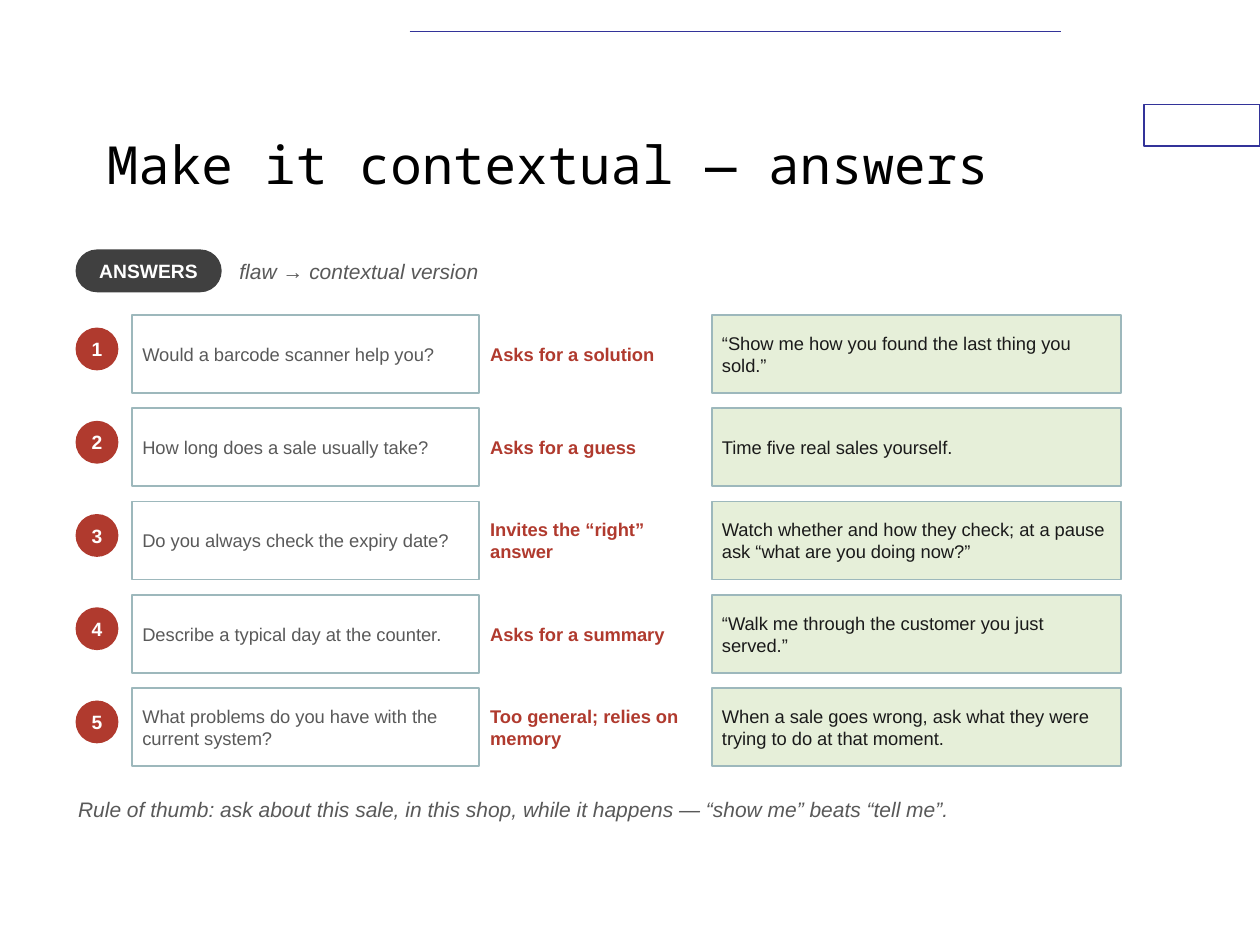
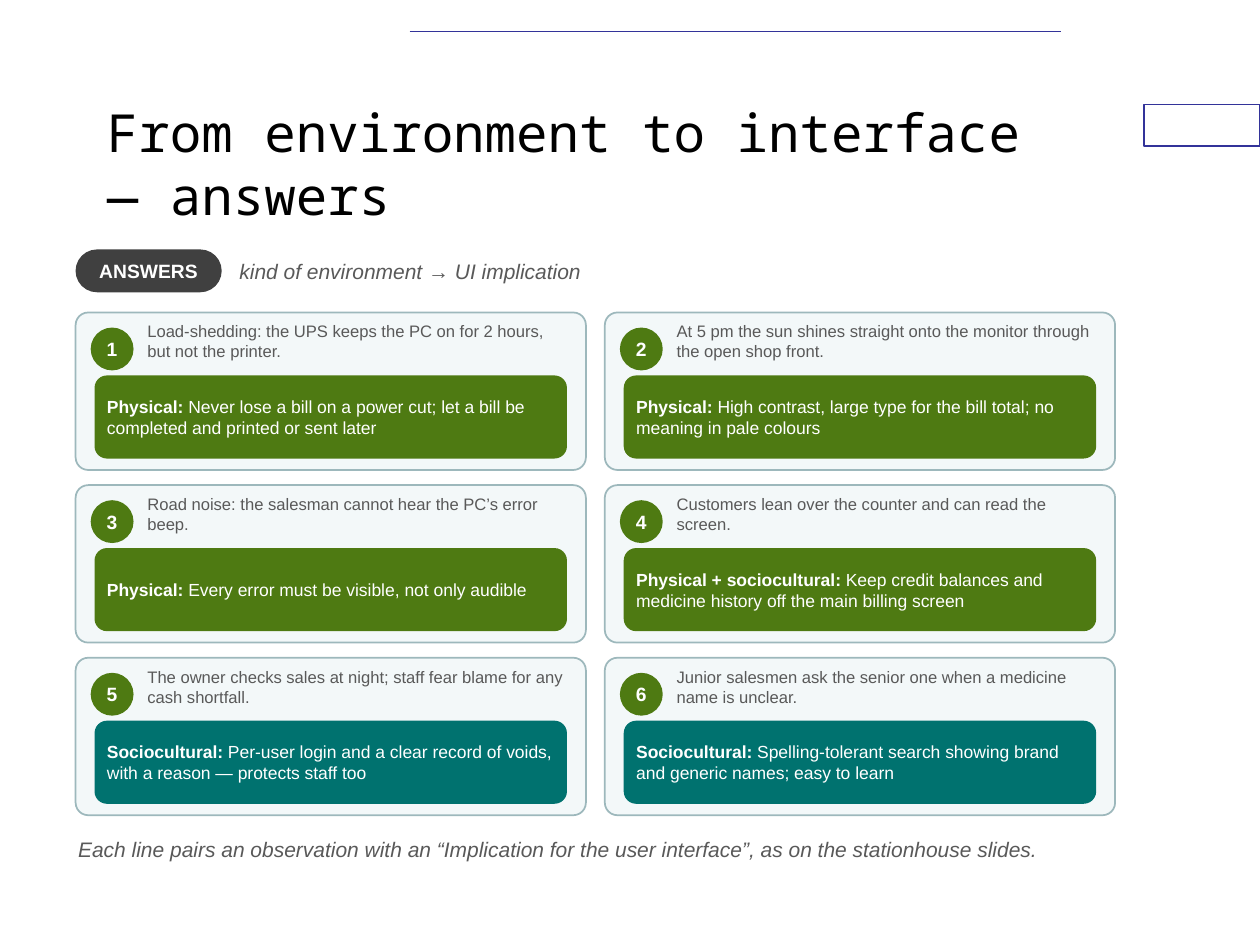
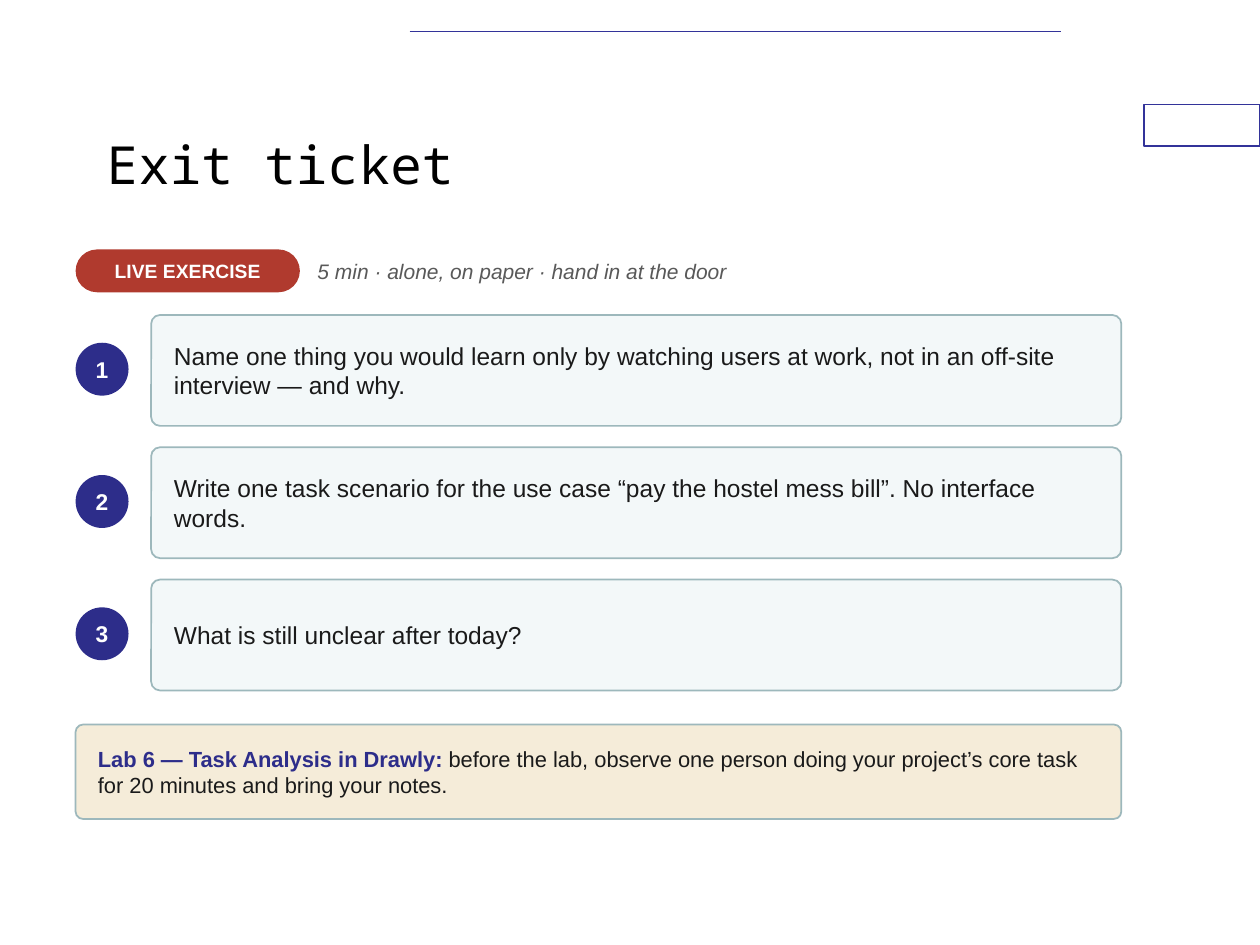
from pptx import Presentation
from pptx.dml.color import RGBColor
from pptx.enum.shapes import MSO_CONNECTOR, MSO_SHAPE
from pptx.enum.text import MSO_ANCHOR, PP_ALIGN
from pptx.oxml.ns import qn
from pptx.util import Inches, Pt

RECT, ROUND, OVAL = MSO_SHAPE.RECTANGLE, MSO_SHAPE.ROUNDED_RECTANGLE, MSO_SHAPE.OVAL
STRAIGHT = MSO_CONNECTOR.STRAIGHT
TOP, MIDDLE = MSO_ANCHOR.TOP, MSO_ANCHOR.MIDDLE
LEFT, CENTER = PP_ALIGN.LEFT, PP_ALIGN.CENTER

BLACK = RGBColor(0x00, 0x00, 0x00)
WHITE = RGBColor(0xFF, 0xFF, 0xFF)
INK = RGBColor(0x1A, 0x1A, 0x1A)
GREY = RGBColor(0x59, 0x59, 0x59)
CHARCOAL = RGBColor(0x40, 0x40, 0x40)
FRAME_BLUE = RGBColor(0x33, 0x33, 0x99)
NAVY = RGBColor(0x2D, 0x2D, 0x8A)
RED = RGBColor(0xB0, 0x3A, 0x2E)
GREEN = RGBColor(0x4E, 0x7A, 0x12)
TEAL = RGBColor(0x00, 0x72, 0x6F)
EDGE = RGBColor(0x9D, 0xB8, 0xBC)
PALE_BLUE = RGBColor(0xF3, 0xF8, 0xF9)
PALE_GREEN = RGBColor(0xE6, 0xEF, 0xD9)
SAND = RGBColor(0xF5, 0xEC, 0xD9)

BODY_FONT, TITLE_FONT = "Arial", "Noto Sans Mono"
MARGIN, CONTENT_WIDTH = 0.6, 8.3

FLAWS = [
    ("Would a barcode scanner help you?", "Asks for a solution",
     "“Show me how you found the last thing you sold.”"),
    ("How long does a sale usually take?", "Asks for a guess",
     "Time five real sales yourself."),
    ("Do you always check the expiry date?", "Invites the “right” answer",
     "Watch whether and how they check; at a pause ask “what are you doing now?”"),
    ("Describe a typical day at the counter.", "Asks for a summary",
     "“Walk me through the customer you just served.”"),
    ("What problems do you have with the current system?",
     "Too general; relies on memory",
     "When a sale goes wrong, ask what they were trying to do at that moment."),
]

OBSERVATIONS = [
    ("Load-shedding: the UPS keeps the PC on for 2 hours, but not the printer.",
     "Physical: ",
     "Never lose a bill on a power cut; let a bill be completed and printed or sent later",
     GREEN),
    ("At 5 pm the sun shines straight onto the monitor through the open shop front.",
     "Physical: ",
     "High contrast, large type for the bill total; no meaning in pale colours", GREEN),
    ("Road noise: the salesman cannot hear the PC’s error beep.",
     "Physical: ", "Every error must be visible, not only audible", GREEN),
    ("Customers lean over the counter and can read the screen.",
     "Physical + sociocultural: ",
     "Keep credit balances and medicine history off the main billing screen", GREEN),
    ("The owner checks sales at night; staff fear blame for any cash shortfall.",
     "Sociocultural: ",
     "Per-user login and a clear record of voids, with a reason — protects staff too",
     TEAL),
    ("Junior salesmen ask the senior one when a medicine name is unclear.",
     "Sociocultural: ",
     "Spelling-tolerant search showing brand and generic names; easy to learn", TEAL),
]

QUESTIONS = [
    "Name one thing you would learn only by watching users at work, "
    "not in an off-site interview — and why.",
    "Write one task scenario for the use case “pay the hostel mess bill”. "
    "No interface words.",
    "What is still unclear after today?",
]


# Basic parts
def write(shape, text, size, color, inset, lead="", lead_color=None, bold=False,
          italic=False, align=LEFT, anchor=MIDDLE, font=BODY_FONT):
    """Fill a shape with one paragraph, optionally opened by a bold lead."""
    frame = shape.text_frame
    frame.word_wrap = True
    frame.vertical_anchor = anchor
    frame.margin_left = frame.margin_right = Inches(inset)
    frame.margin_top = frame.margin_bottom = Inches(inset)
    para = frame.paragraphs[0]
    para.text = lead or text
    para.alignment = align
    if lead:
        para.add_run().text = text
    for span in para.runs:
        span.font.name = font
        span.font.size = Pt(size)
        span.font.color.rgb = color
        span.font.bold = bold
        span.font.italic = italic
    if lead:
        para.runs[0].font.bold = True
        para.runs[0].font.color.rgb = lead_color or color


def add_box(page, kind, box, fill, line=None, line_width=1, corner=None):
    shape = page.shapes.add_shape(kind, *map(Inches, box))
    shape.shadow.inherit = False
    shape.fill.solid()
    shape.fill.fore_color.rgb = fill
    if line is None:
        shape.line.fill.background()
    else:
        shape.line.color.rgb = line
        shape.line.width = Pt(line_width)
    if corner is not None:
        shape.adjustments[0] = corner
    return shape


def add_label(page, box, text, size, color, inset=0.02, **style):
    label = page.shapes.add_textbox(*map(Inches, box))
    write(label, text, size, color, inset, **style)
    return label


def add_badge(page, left, top, number, fill, diameter=0.34, size=11):
    badge = add_box(page, OVAL, (left, top, diameter, diameter), fill)
    write(badge, str(number), size, WHITE, 0, bold=True, align=CENTER)


# Shared frame, title and heading strip
def start_page(deck, title):
    page = deck.slides.add_slide(deck.slide_layouts[6])
    add_box(page, RECT, (9.08, 0.83, 0.92, 0.33), WHITE, FRAME_BLUE, 0.75)
    rule = page.shapes.add_connector(
        STRAIGHT, Inches(3.25), Inches(0.25), Inches(8.42), Inches(0.25))
    rule.line.color.rgb = FRAME_BLUE
    rule.line.width = Pt(1)
    rule._element.spPr.add_effectLst() if hasattr(
        rule._element.spPr, "add_effectLst") else rule._element.spPr.append(
        rule._element.spPr.makeelement(qn("a:effectLst"), {}))
    heading = add_label(page, (0.75, 0.67, 7.5, 1.25), title, 30, BLACK, 0.1,
                        font=TITLE_FONT)
    heading.text_frame.margin_top = heading.text_frame.margin_bottom = Inches(0.05)
    return page


def add_heading_strip(page, tag, tag_width, fill, caption, top=1.98, height=0.34):
    pill = add_box(page, ROUND, (MARGIN, top, tag_width, height), fill, corner=0.5)
    write(pill, tag, 11, WHITE, 0.03, bold=True, align=CENTER)
    offset = tag_width + 0.12
    add_label(page, (MARGIN + offset, top, CONTENT_WIDTH - offset, height),
              caption, 12, GREY, italic=True)


def add_closing_note(page, top, text):
    add_label(page, (MARGIN, top, CONTENT_WIDTH, 0.5), text, 12, GREY,
              italic=True, anchor=TOP)


# Repeated regions
def add_flaw_row(page, left, top, number, question, flaw, answer):
    height = 0.62
    add_badge(page, left, top + 0.1, number, RED)
    asked = add_box(page, RECT, (left + 0.45, top, 2.75, height), WHITE, EDGE)
    write(asked, question, 10.5, GREY, 0.08)
    add_label(page, (left + 3.25, top, 1.75, height), flaw, 10.5, RED, 0.04, bold=True)
    better = add_box(page, RECT, (left + 5.05, top, 3.25, height), PALE_GREEN, EDGE)
    write(better, answer, 10.5, INK, 0.08)


def add_observation_card(page, left, top, number, observation, kind, implication, fill):
    add_box(page, ROUND, (left, top, 4.05, 1.25), PALE_BLUE, EDGE, corner=0.08)
    add_badge(page, left + 0.12, top + 0.12, number, GREEN)
    add_label(page, (left + 0.55, top + 0.05, 3.4, 0.45), observation, 9.5, GREY,
              anchor=TOP)
    panel = add_box(page, ROUND, (left + 0.15, top + 0.5, 3.75, 0.66), fill, corner=0.15)
    write(panel, implication, 10, WHITE, 0.07, lead=kind)


def add_question_row(page, left, top, number, question):
    add_badge(page, left, top + 0.22, number, NAVY, 0.42, 13)
    card = add_box(page, ROUND, (left + 0.6, top, 7.7, 0.88), PALE_BLUE, EDGE, corner=0.08)
    write(card, question, 14, INK, 0.16)


# Slides
def build_contextual_answers(deck):
    page = start_page(deck, "Make it contextual — answers")
    add_heading_strip(page, "ANSWERS", 1.16, CHARCOAL, "flaw → contextual version")
    for index, row in enumerate(FLAWS):
        add_flaw_row(page, MARGIN, 2.5 + 0.74 * index, index + 1, *row)
    add_closing_note(page, 6.3, "Rule of thumb: ask about this sale, in this shop, "
                     "while it happens — “show me” beats “tell me”.")


def build_environment_answers(deck):
    page = start_page(deck, "From environment to interface — answers")
    add_heading_strip(page, "ANSWERS", 1.16, CHARCOAL,
                      "kind of environment → UI implication")
    for index, card in enumerate(OBSERVATIONS):
        row, column = divmod(index, 2)
        add_observation_card(page, MARGIN + 4.2 * column, 2.48 + 1.37 * row,
                             index + 1, *card)
    add_closing_note(page, 6.62, "Each line pairs an observation with an “Implication "
                     "for the user interface”, as on the stationhouse slides.")


def build_exit_ticket(deck):
    page = start_page(deck, "Exit ticket")
    add_heading_strip(page, "LIVE EXERCISE", 1.78, RED,
                      "5 min · alone, on paper · hand in at the door")
    for index, question in enumerate(QUESTIONS):
        add_question_row(page, MARGIN, 2.5 + 1.05 * index, index + 1, question)
    lab = add_box(page, ROUND, (MARGIN, 5.75, CONTENT_WIDTH, 0.75), SAND, EDGE,
                  corner=0.08)
    write(lab, "before the lab, observe one person doing your project’s core task "
          "for 20 minutes and bring your notes.", 12.5, INK, 0.16,
          lead="Lab 6 — Task Analysis in Drawly: ", lead_color=NAVY)


def main():
    deck = Presentation()
    deck.slide_width, deck.slide_height = Inches(10), Inches(7.5)
    build_contextual_answers(deck)
    build_environment_answers(deck)
    build_exit_ticket(deck)
    deck.save("out.pptx")


if __name__ == "__main__":
    main()
